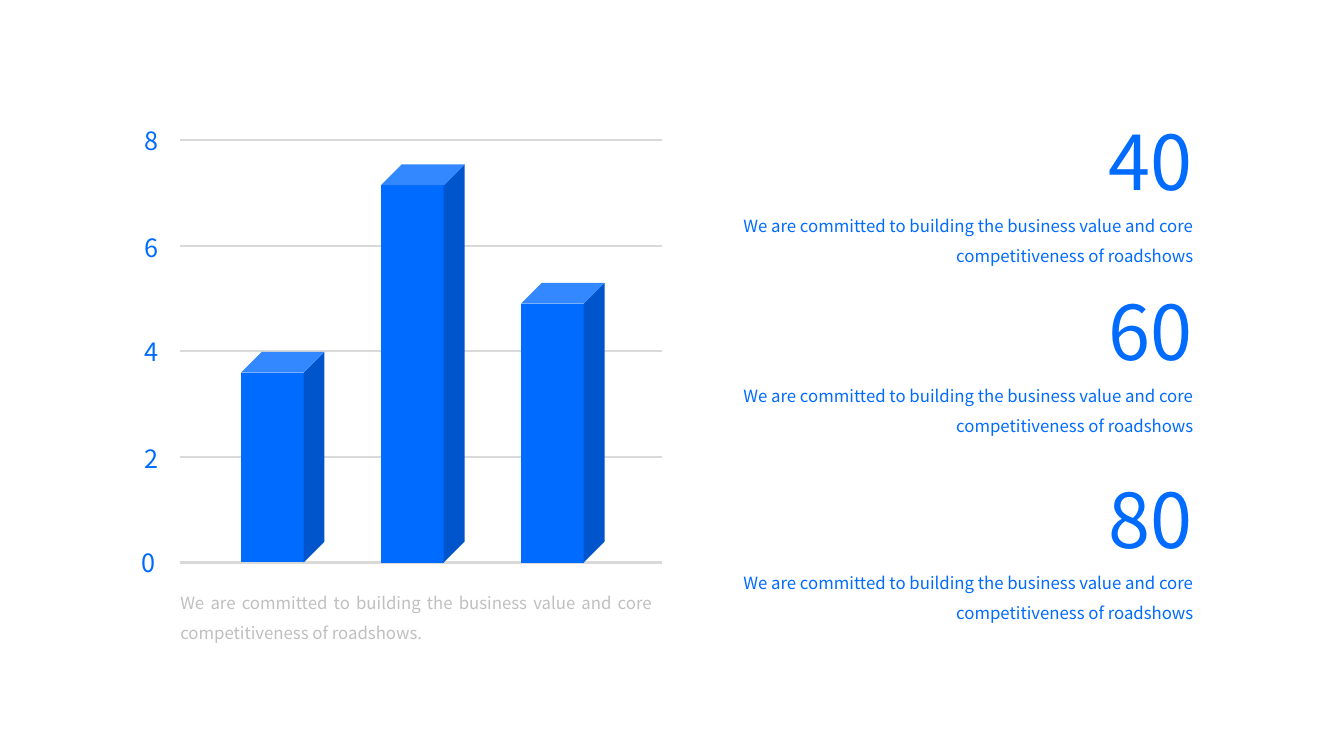
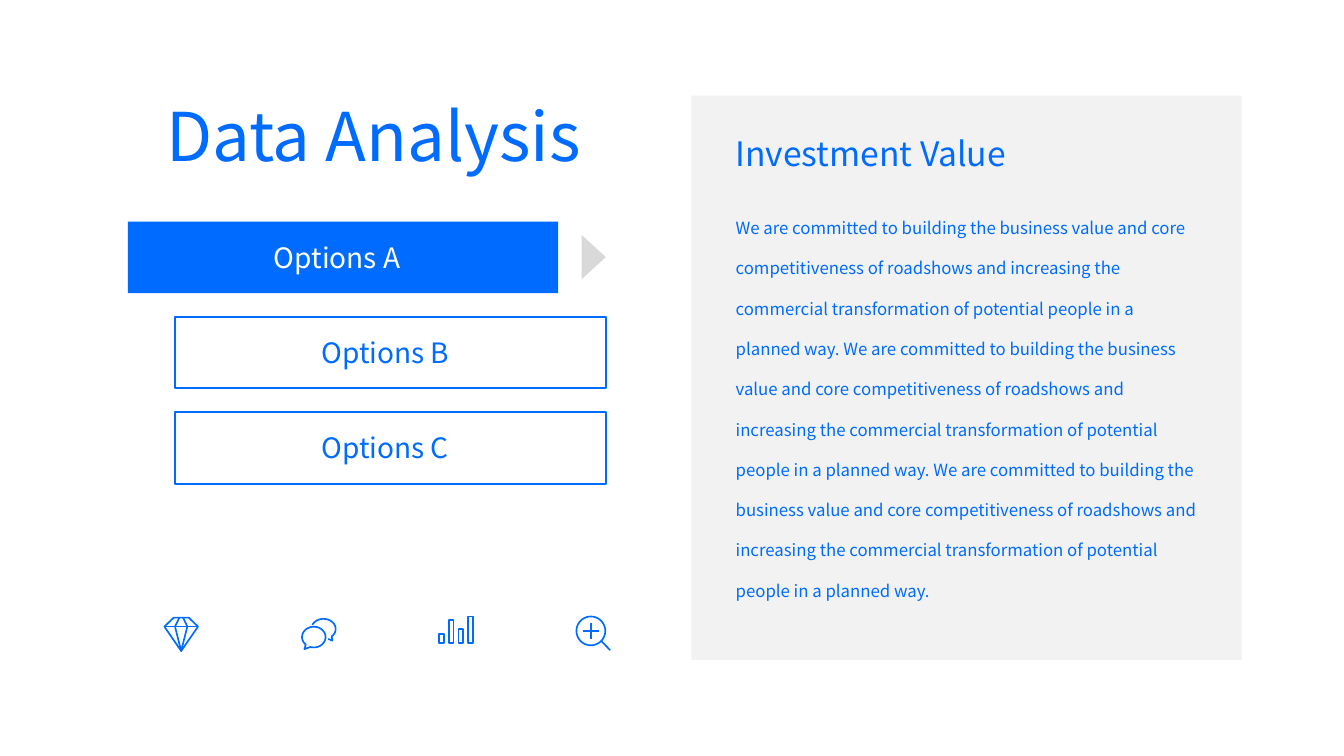
"""Build a column diagram slide and a data analysis slide."""
from math import cos, radians, sin
from typing import NamedTuple

from lxml import etree
from pptx import Presentation
from pptx.dml.color import RGBColor
from pptx.enum.shapes import MSO_CONNECTOR, MSO_SHAPE
from pptx.enum.text import MSO_AUTO_SIZE, PP_ALIGN
from pptx.oxml.ns import qn
from pptx.util import Pt

FONT = "Noto Sans CJK SC"
BLUE, WHITE = "006BFF", "FFFFFF"
PANEL, RULE, MUTED = "F2F2F2", "D9D9D9", "BFBFBF"
CLAIM = "We are committed to building the business value and core competitiveness of roadshows"
PLAN = CLAIM + " and increasing the commercial transformation of potential people in a planned way."


class Box(NamedTuple):
    left: float
    top: float
    width: float
    height: float


class Column(NamedTuple):
    left: float
    height: float


class Tick(NamedTuple):
    value: int
    left: float
    top: float


class Stat(NamedTuple):
    value: str
    top: float


class Option(NamedTuple):
    text: str
    left: float
    top: float
    selected: bool = False


class Stroke(NamedTuple):
    points: list[tuple[float, float]]
    closed: bool = False


class Icon(NamedTuple):
    left: float
    top: float
    strokes: list[Stroke]


def rgb(color: str) -> RGBColor:
    return RGBColor.from_string(color)


def emu(box: Box) -> list[int]:
    return [Pt(v) for v in box]


def add_text(s, box: Box, text: str, size: float, color: str = BLUE,
             align=PP_ALIGN.LEFT, spacing: float = 1.0) -> None:
    tf = s.shapes.add_textbox(*emu(box)).text_frame
    tf.word_wrap = True
    tf.auto_size = MSO_AUTO_SIZE.SHAPE_TO_FIT_TEXT
    tf.text = text
    p = tf.paragraphs[0]
    p.alignment, p.line_spacing = align, spacing
    font = p.runs[0].font
    font.name, font.size, font.color.rgb = FONT, Pt(size), rgb(color)


def style(sp, fill: str | None = None, line: str | None = None, width: float = 1.5) -> None:
    sp.shadow.inherit = False
    if fill:
        sp.fill.solid()
        sp.fill.fore_color.rgb = rgb(fill)
    else:
        sp.fill.background()
    if line:
        sp.line.color.rgb, sp.line.width = rgb(line), Pt(width)
    else:
        sp.line.fill.background()


def add_shape(s, kind, box: Box, fill: str | None = None, line: str | None = None,
              rotation: float = 0) -> None:
    sp = s.shapes.add_shape(kind, *emu(box))
    sp.rotation = rotation
    style(sp, fill, line)


def add_rule(s, left: float, right: float, y: float) -> None:
    cx = s.shapes.add_connector(MSO_CONNECTOR.STRAIGHT, Pt(left), Pt(y), Pt(right), Pt(y))
    cx.line.color.rgb, cx.line.width = rgb(RULE), Pt(1.5)
    etree.SubElement(cx._element.spPr, qn("a:effectLst"))


def add_icon(s, icon: Icon) -> None:
    builder = None
    for stroke in icon.strokes:
        start, *rest = [(Pt(icon.left + x), Pt(icon.top + y)) for x, y in stroke.points]
        if builder is None:
            builder = s.shapes.build_freeform(*start, scale=1.0)
        else:
            builder.move_to(*start)
        builder.add_line_segments(rest, close=stroke.closed)
    style(builder.convert_to_shape(), line=BLUE, width=1.2)


def arc(cx: float, cy: float, rx: float, ry: float, start: int, end: int) -> list[tuple[float, float]]:
    steps = 40
    angles = [radians(start + (end - start) * i / steps) for i in range(steps + 1)]
    return [(cx + rx * cos(a), cy + ry * sin(a)) for a in angles]


def bar(left: float, top: float) -> Stroke:
    right, bottom = left + 3.3, 19.6
    return Stroke([(left, top), (right, top), (right, bottom), (left, bottom)], True)


GRID_TOP, GRID_STEP = 100, 75.45
BASELINE = GRID_TOP + 4 * GRID_STEP
COLUMNS = [Column(172.1, 150.5), Column(272.15, 284.4), Column(372.2, 199.8)]
TICKS = [Tick(8, 95.8, 85.7), Tick(6, 95.8, 162.7), Tick(4, 95.8, 236.9),
         Tick(2, 95.8, 313.2), Tick(0, 94.3, 387.4)]
STATS = [Stat("40", 78.5), Stat("60", 200.2), Stat("80", 333.9)]
OPTIONS = [Option("Options A", 91.4, 158.3, True), Option("Options B", 125.3, 226.3),
           Option("Options C", 125.3, 294.5)]

ICONS = [
    Icon(116.8, 440.6, [
        Stroke([(0.6, 7), (7.3, 0.6), (18, 0.6), (24.6, 7), (12.6, 24.4)], True),
        Stroke([(0.6, 7), (24.6, 7)]),
        Stroke([(11.3, 0.6), (8.2, 7), (12.6, 24.4), (17, 7), (14, 0.6)])]),
    Icon(215.3, 441.4, [
        Stroke(arc(8.9, 13.7, 8.4, 7.4, 133, 467) + [(2.2, 22.3)], True),
        Stroke(arc(15.8, 7.9, 8.7, 7.2, 204, 408) + [(22.2, 16.3), (19.2, 15)])]),
    Icon(313.2, 439.9, [bar(0.6, 12.8), bar(7.5, 2.8), bar(14.3, 9.3), bar(21.2, 0.6)]),
    Icon(411.1, 439.9, [
        Stroke(arc(11, 10.8, 10.3, 10.3, 0, 360), True),
        Stroke([(18.6, 18.1), (24.8, 24.6)]),
        Stroke([(5.5, 10.8), (16.5, 10.8)]),
        Stroke([(11, 5.3), (11, 16.3)])]),
]


def build_columns(s) -> None:
    for i in range(5):
        add_rule(s, 128.7, 473, GRID_TOP + i * GRID_STEP)
    for c in COLUMNS:
        add_shape(s, MSO_SHAPE.CUBE, Box(c.left, BASELINE - c.height, 59.7, c.height), BLUE)
    for t in TICKS:
        add_text(s, Box(t.left, t.top, 43.9, 29), str(t.value), 18)
    add_text(s, Box(121.7, 412.6, 351.4, 48.2), CLAIM + ".", 12, MUTED, PP_ALIGN.JUSTIFY, 1.5)
    for st in STATS:
        add_text(s, Box(784.8, st.top, 79.9, 72.7), st.value, 54)
        add_text(s, Box(481.7, st.top + 64.6, 378, 48.2), CLAIM, 12,
                 align=PP_ALIGN.RIGHT, spacing=1.5)


def build_analysis(s) -> None:
    add_text(s, Box(111.6, 64.1, 354.2, 65.5), "Data Analysis", 48)
    for o in OPTIONS:
        fill, line, color = (BLUE, None, WHITE) if o.selected else (None, BLUE, BLUE)
        add_shape(s, MSO_SHAPE.RECTANGLE, Box(o.left, o.top, 307.4, 51.1), fill, line)
        add_text(s, Box(o.left + 97.2, o.top + 9.8, 113, 31.7), o.text, 20, color)
    add_shape(s, MSO_SHAPE.ISOSCELES_TRIANGLE, Box(408.2, 175, 31.7, 17.3), RULE, rotation=90)
    add_shape(s, MSO_SHAPE.RECTANGLE, Box(493.9, 68.4, 393.1, 403.2), PANEL)
    add_text(s, Box(518.4, 91.4, 231.1, 36), "Investment Value", 24)
    add_text(s, Box(518.4, 137.5, 344.2, 293.8), " ".join([PLAN] * 3), 12, spacing=2.0)
    for icon in ICONS:
        add_icon(s, icon)


def main() -> None:
    prs = Presentation()
    prs.slide_width, prs.slide_height = Pt(960), Pt(540)
    for build in (build_columns, build_analysis):
        build(prs.slides.add_slide(prs.slide_layouts[6]))
    prs.save("out.pptx")


if __name__ == "__main__":
    main()
